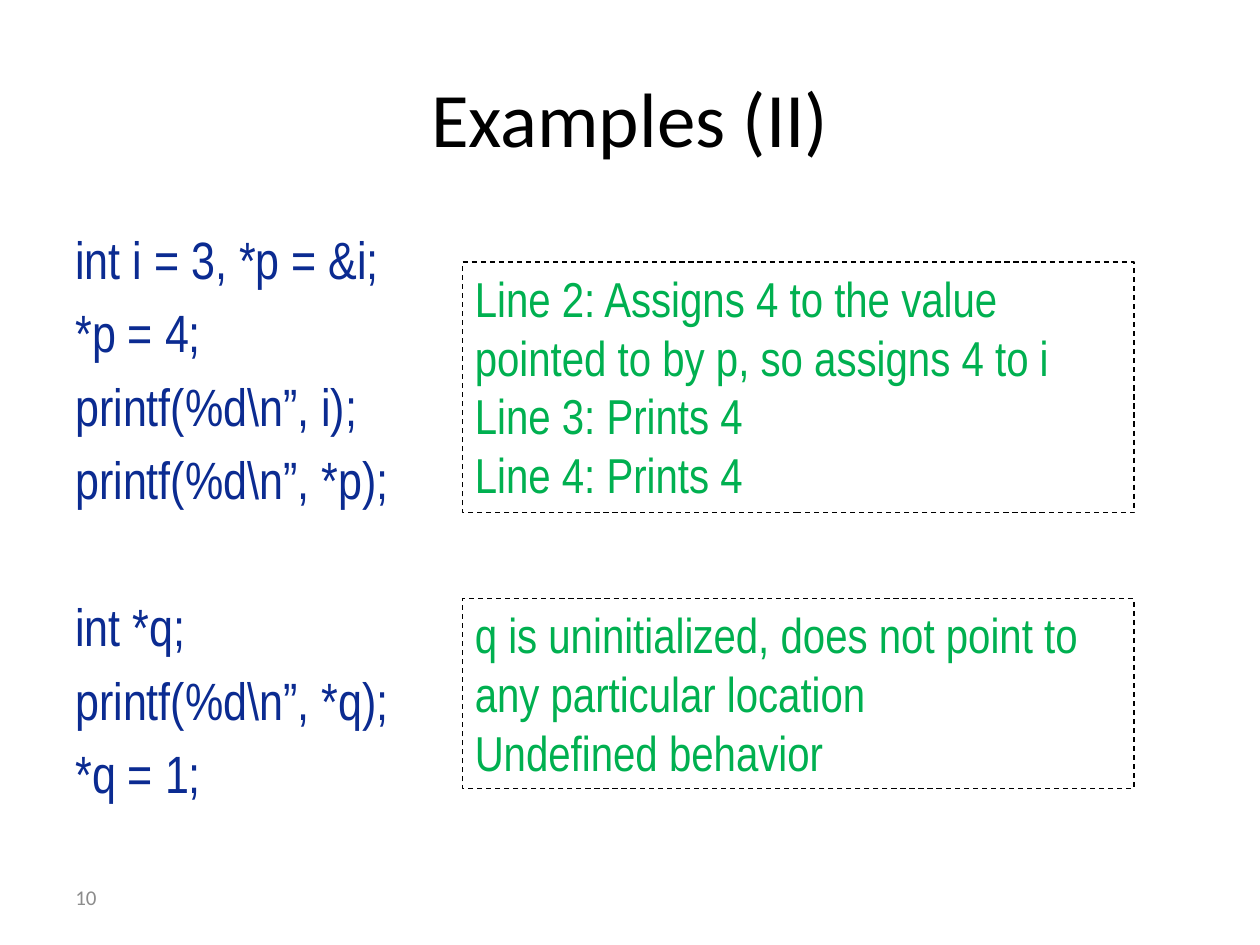
from pptx import Presentation
from pptx.dml.color import RGBColor
from pptx.enum.dml import MSO_LINE
from pptx.enum.text import MSO_ANCHOR, PP_ALIGN
from pptx.util import Inches, Pt

TOP, MIDDLE = MSO_ANCHOR.TOP, MSO_ANCHOR.MIDDLE
LEFT, CENTER = PP_ALIGN.LEFT, PP_ALIGN.CENTER
DASH = MSO_LINE.DASH

COLORS = {
    "title": "000000",
    "code": "0B2B91",
    "answer": "00B050",
    "border": "000000",
    "page": "8C8C8C",
}

TITLE = "Examples (II)"
PAGE_NUMBER = "10"
SNIPPETS = [
    ["int i = 3, *p = &i;", "*p = 4;", r"printf(%d\n”, i);", r"printf(%d\n”, *p);"],
    ["int *q;", r"printf(%d\n”, *q);", "*q = 1;"],
]
# top, height, lines
ANSWERS = [
    (2.08, 1.99, ["Line 2: Assigns 4 to the value pointed to by p, so assigns 4 to i",
                  "Line 3: Prints 4", "Line 4: Prints 4"]),
    (4.75, 1.51, ["q is uninitialized, does not point to any particular location",
                  "Undefined behavior"]),
]

MARGIN = 0.5
CONTENT_WIDTH = 9
ANSWER_LEFT, ANSWER_WIDTH = 3.67, 5.33
LINE_GAP = 6      # points before each code line
SNIPPET_GAP = 48  # one empty code line plus its gaps


def add_text(slide, box, lines, font, size, color, anchor=TOP, align=LEFT):
    shape = slide.shapes.add_textbox(*(Inches(length) for length in box))
    frame = shape.text_frame
    frame.word_wrap = True
    frame.vertical_anchor = anchor
    frame.text = "\n".join(lines)
    for paragraph in frame.paragraphs:
        paragraph.alignment = align
        paragraph.font.name = font
        paragraph.font.size = Pt(size)
        paragraph.font.color.rgb = RGBColor.from_string(COLORS[color])
    return shape


def add_code(slide):
    lines = [line for snippet in SNIPPETS for line in snippet]
    gaps = [SNIPPET_GAP if number and not row else LINE_GAP
            for number, snippet in enumerate(SNIPPETS) for row in range(len(snippet))]
    code = add_text(slide, (MARGIN, 1.75, CONTENT_WIDTH, 4.95), lines,
                    "Arial Narrow", 30, "code")
    for paragraph, gap in zip(code.text_frame.paragraphs, gaps):
        paragraph.space_before = Pt(gap)


def add_answer(slide, top, height, lines):
    answer = add_text(slide, (ANSWER_LEFT, top, ANSWER_WIDTH, height), lines,
                      "Arial Narrow", 28, "answer")
    answer.line.color.rgb = RGBColor.from_string(COLORS["border"])
    answer.line.width = Pt(0.75)
    answer.line.dash_style = DASH


def main():
    deck = Presentation()
    deck.slide_width, deck.slide_height = Inches(10), Inches(7.5)
    slide = deck.slides.add_slide(deck.slide_layouts[6])

    add_text(slide, (MARGIN, 0.3, CONTENT_WIDTH, 1.25), [TITLE],
             "Calibri", 44, "title", MIDDLE, CENTER)
    add_code(slide)
    add_text(slide, (MARGIN, 6.92, 2.33, 0.4), [PAGE_NUMBER],
             "Calibri", 12, "page", MIDDLE)
    for top, height, lines in ANSWERS:
        add_answer(slide, top, height, lines)

    deck.save("out.pptx")


if __name__ == "__main__":
    main()
